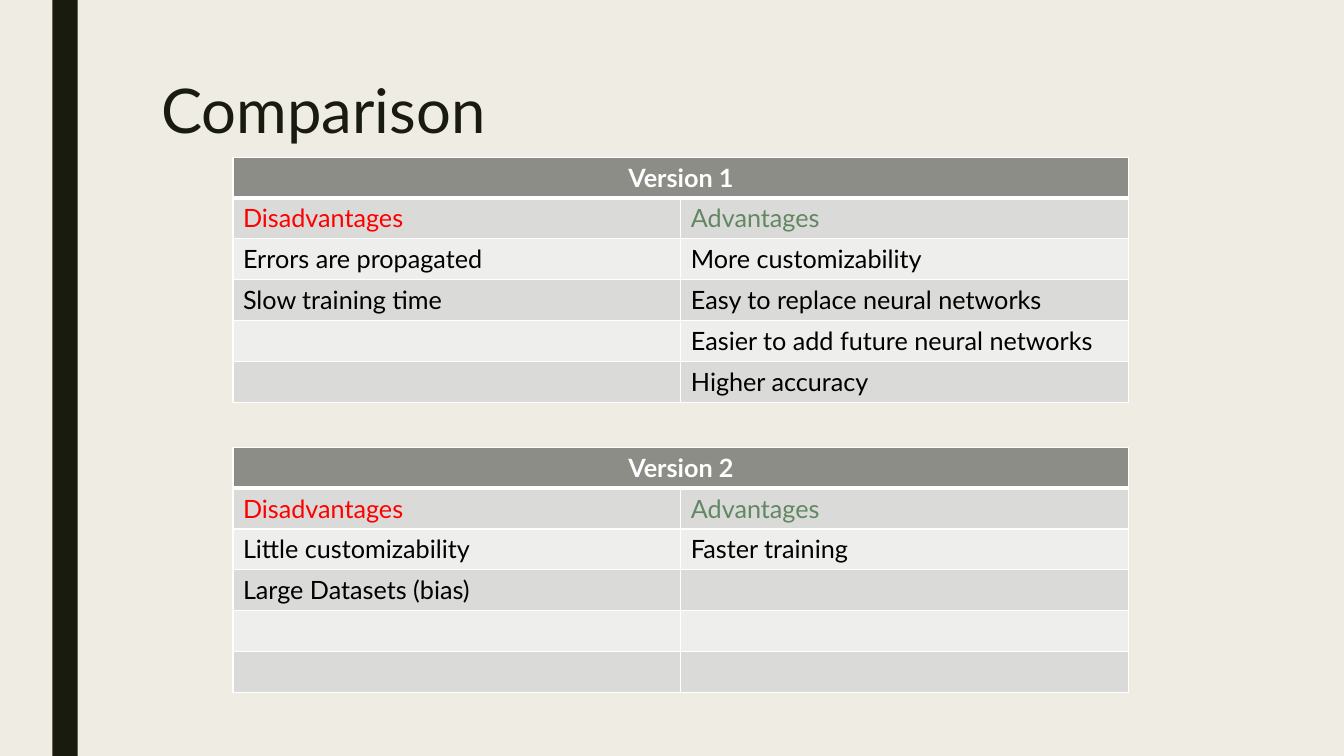
from dataclasses import dataclass
from itertools import zip_longest

from lxml import etree
from pptx import Presentation
from pptx import util as u
from pptx.dml.color import RGBColor
from pptx.enum import shapes, text
from pptx.oxml.ns import qn

FONT = "Lato"
DARK = "191B0E"
WHITE = "FFFFFF"
HEADER_FILL = "8C8D86"
BAND_FILLS = ("DADBD9", "EEEEED")
ROW_COUNT = 6
ROW_HEIGHT = u.Cm(1.03)
COLUMN_WIDTH = u.Cm(11.29)
TABLE_LEFT = u.Cm(5.87)


@dataclass(frozen=True)
class Version:
    name: str
    top: float
    disadvantages: tuple[str, ...]
    advantages: tuple[str, ...]


VERSIONS = (
    Version(
        "Version 1",
        3.96,
        ("Errors are propagated", "Slow training time"),
        (
            "More customizability",
            "Easy to replace neural networks",
            "Easier to add future neural networks",
            "Higher accuracy",
        ),
    ),
    Version(
        "Version 2",
        11.27,
        ("Little customizability", "Large Datasets (bias)"),
        ("Faster training",),
    ),
)


def rgb(value: str) -> RGBColor:
    return RGBColor.from_string(value)


def style_paragraph(paragraph, size: float, color: str, bold: bool = False) -> None:
    font = paragraph.font
    font.name = FONT
    font.size = u.Pt(size)
    font.bold = bold
    font.color.rgb = rgb(color)


def set_borders(cell, top: float, bottom: float) -> None:
    properties = cell._tc.get_or_add_tcPr()
    for side, width in (("L", 1), ("R", 1), ("T", top), ("B", bottom)):
        line = etree.SubElement(properties, qn(f"a:ln{side}"), w=str(u.Pt(width)))
        fill = etree.SubElement(line, qn("a:solidFill"))
        etree.SubElement(fill, qn("a:srgbClr"), val=WHITE)


def fill_cell(cell, row: int, words: str, color: str) -> None:
    set_borders(cell, 3 if row == 1 else 1, 3 if row == 0 else 1)
    cell.fill.solid()
    cell.fill.fore_color.rgb = rgb(BAND_FILLS[(row - 1) % 2] if row else HEADER_FILL)
    paragraph = cell.text_frame.paragraphs[0]
    paragraph.text = words
    if row == 0:
        paragraph.alignment = text.PP_ALIGN.CENTER
    style_paragraph(paragraph, 18, color, bold=row == 0)


def add_version(slide, version: Version) -> None:
    table = slide.shapes.add_table(
        ROW_COUNT, 2, TABLE_LEFT, u.Cm(version.top), COLUMN_WIDTH * 2, ROW_HEIGHT * ROW_COUNT
    ).table
    for column in table.columns:
        column.width = COLUMN_WIDTH
    for row in table.rows:
        row.height = ROW_HEIGHT
    table.cell(0, 0).merge(table.cell(0, 1))

    points = list(zip_longest(version.disadvantages, version.advantages, fillvalue=""))
    blanks = [("", "")] * (ROW_COUNT - 2 - len(points))
    rows = [(version.name, ""), ("Disadvantages", "Advantages"), *points, *blanks]
    colors = {0: (WHITE, WHITE), 1: ("FF0000", "638764")}
    for row, entries in enumerate(rows):
        for column, words in enumerate(entries):
            color = colors.get(row, ("000000", "000000"))[column]
            fill_cell(table.cell(row, column), row, words, color)


def add_side_bar(slide, height: int) -> None:
    bar = slide.shapes.add_shape(
        shapes.MSO_SHAPE.RECTANGLE, u.Cm(1.32), 0, u.Cm(0.64), height
    )
    bar.shadow.inherit = False
    bar.fill.solid()
    bar.fill.fore_color.rgb = rgb(DARK)
    bar.line.fill.background()


def set_title(slide, words: str) -> None:
    title = slide.shapes.title
    title.left, title.top = u.Cm(3.81), u.Cm(1.9)
    title.width, title.height = u.Cm(26.67), u.Cm(4.11)
    title.text_frame.vertical_anchor = text.MSO_ANCHOR.TOP
    paragraph = title.text_frame.paragraphs[0]
    paragraph.text = words
    paragraph.alignment = text.PP_ALIGN.LEFT
    paragraph.line_spacing = 0.89
    style_paragraph(paragraph, 44, DARK)


def main() -> None:
    deck = Presentation()
    deck.slide_width, deck.slide_height = u.Cm(33.87), u.Cm(19.05)
    slide = deck.slides.add_slide(deck.slide_layouts[5])
    slide.background.fill.solid()
    slide.background.fill.fore_color.rgb = rgb("EFEDE3")
    add_side_bar(slide, deck.slide_height)
    set_title(slide, "Comparison")
    for version in VERSIONS:
        add_version(slide, version)
    deck.save("out.pptx")


if __name__ == "__main__":
    main()
